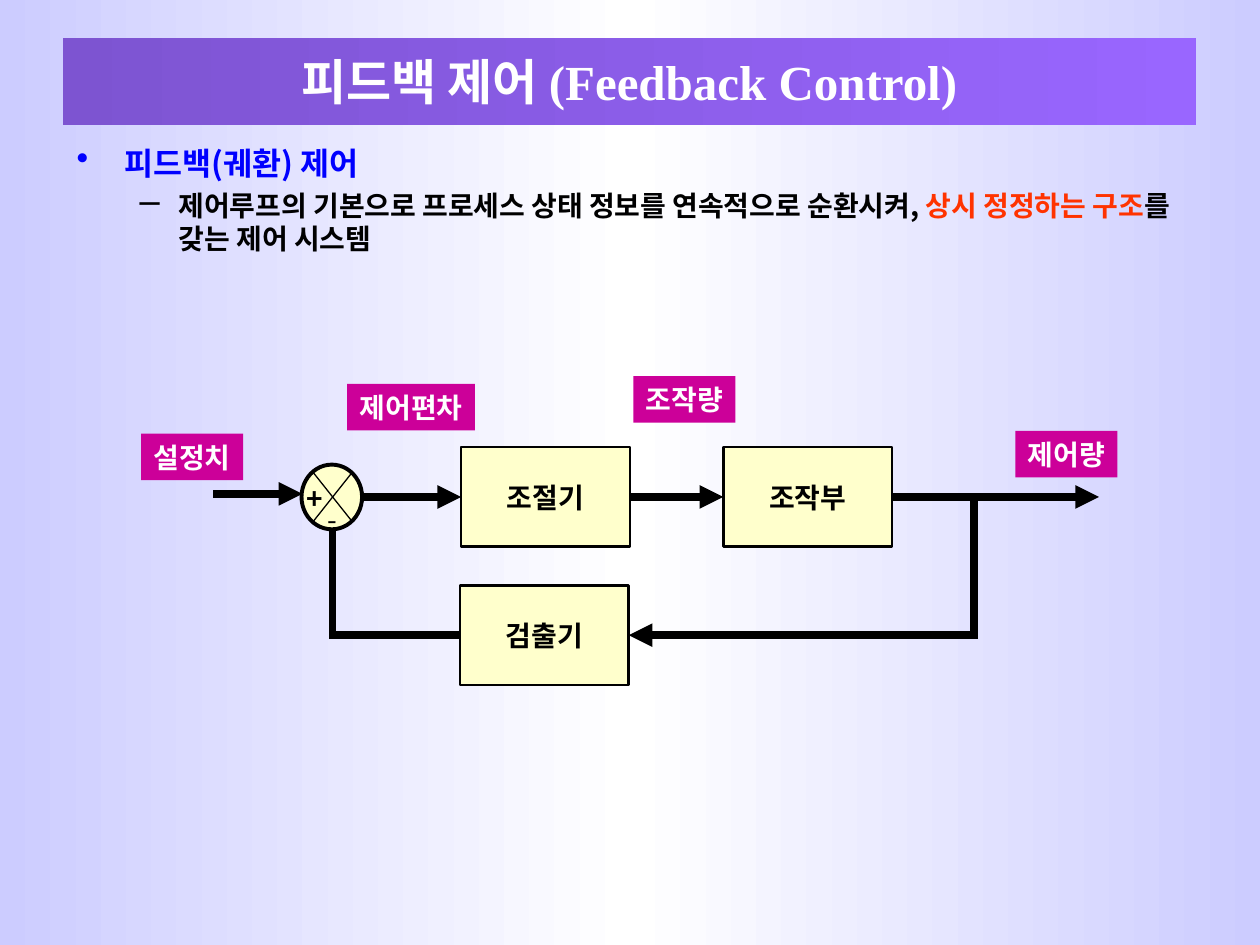
from dataclasses import dataclass
import copy

import lxml.etree
import pptx
import pptx.dml.color
import pptx.enum.shapes
import pptx.enum.text
import pptx.oxml.ns
import pptx.util

Pt = pptx.util.Pt
qn = pptx.oxml.ns.qn
SHAPES = pptx.enum.shapes.MSO_SHAPE
ANCHOR = pptx.enum.text.MSO_ANCHOR
ALIGN = pptx.enum.text.PP_ALIGN


@dataclass(frozen=True)
class Theme:
    """Colours, fonts and type sizes of the slide."""
    ink: str = "000000"
    white: str = "FFFFFF"
    edge: str = "CCCCFF"
    banner_start: str = "7D54D1"
    banner_end: str = "9966FF"
    heading: str = "0000FF"
    accent: str = "FF3300"
    block: str = "FFFFCC"
    label: str = "CC0099"
    korean: str = "Noto Sans CJK KR"
    latin: str = "Times New Roman"
    title_size: int = 28
    heading_size: int = 18
    text_size: int = 16


THEME = Theme()


def rgb(value):
    """Turn a hex string into a colour."""
    return pptx.dml.color.RGBColor.from_string(value)


def points(*values):
    """Turn numbers into lengths in points."""
    return [Pt(value) for value in values]


def apply(target, values):
    """Set attributes from a dict of format values."""
    for name, value in values.items():
        setattr(target, name, value)


def add_child(parent, tag, **attributes):
    """Append a DrawingML element."""
    return lxml.etree.SubElement(parent, qn(tag), attributes)


def fill_gradient(fill, colors):
    """Fill left to right with two colours."""
    fill.gradient()
    fill.gradient_angle = 0
    for stop, position, color in zip(fill.gradient_stops, (0, 1), colors):
        stop.color.rgb = rgb(color)
        stop.position = position


def paint_background(slide):
    """Paint the mirrored three-stop background."""
    fill = slide.background.fill
    fill_gradient(fill, (THEME.edge, THEME.white))
    stops = slide._element.find(".//" + qn("a:gsLst"))
    stops.append(copy.deepcopy(stops[0]))
    for stop, position in zip(fill.gradient_stops, (0, 0.5, 1)):
        stop.position = position


def add_run(paragraph, text, color, size=THEME.text_size, latin=THEME.korean, bold=True):
    """Add a run with Latin and Korean fonts."""
    run = paragraph.add_run()
    run.text = text
    apply(run.font, {"size": Pt(size), "name": latin, "bold": bold})
    run.font.color.rgb = rgb(color)
    add_child(run._r.get_or_add_rPr(), "a:ea", typeface=THEME.korean)


def write_centred(shape, text, color, wrap=False, **style):
    """Write one centred line in a shape."""
    frame = shape.text_frame
    apply(frame, {"word_wrap": wrap, "vertical_anchor": ANCHOR.MIDDLE})
    paragraph = frame.paragraphs[0]
    paragraph.alignment = ALIGN.CENTER
    add_run(paragraph, text, color, **style)


def add_panel(slide, place, color, kind=SHAPES.RECTANGLE, line_width=0):
    """Add a filled shape with an optional outline."""
    shape = slide.shapes.add_shape(kind, *points(*place))
    shape.shadow.inherit = False
    shape.fill.solid()
    shape.fill.fore_color.rgb = rgb(color)
    if line_width:
        shape.line.color.rgb = rgb(THEME.ink)
        shape.line.width = Pt(line_width)
    else:
        shape.line.fill.background()
    return shape


def add_banner(slide, text):
    """Add the gradient title bar."""
    banner = add_panel(slide, (36, 21.6, 647.3, 49.7), THEME.banner_start)
    fill_gradient(banner.fill, (THEME.banner_start, THEME.banner_end))
    write_centred(banner, text, THEME.white, wrap=True,
                  size=THEME.title_size, latin=THEME.latin)


def add_block(slide, text, left, top):
    """Add a block of the control loop."""
    block = add_panel(slide, (left, top, 96.5, 57), THEME.block, line_width=1.5)
    write_centred(block, text, THEME.ink)
    return block


def add_label(slide, text, left, top, width=58.3):
    """Add a signal name tag."""
    label = add_panel(slide, (left, top, width, 26.6), THEME.label)
    write_centred(label, text, THEME.white)


def add_sign(slide, text, left, top, width, bold):
    """Add a sign inside the comparator."""
    box = slide.shapes.add_textbox(*points(left, top, width, 26.6))
    write_centred(box, text, THEME.ink, bold=bold)


def add_line(slide, start, end, width=4.5, arrow=False, source=None, target=None):
    """Add a straight line, joined to (shape, side) pairs where given."""
    line = slide.shapes.add_connector(
        pptx.enum.shapes.MSO_CONNECTOR.STRAIGHT, *points(*start, *end))
    if source:
        line.begin_connect(*source)
    if target:
        line.end_connect(*target)
    line.line.width = Pt(width)
    line.line.color.rgb = rgb(THEME.ink)
    if arrow:
        add_child(line.line._get_or_add_ln(), "a:tailEnd", type="triangle")
    add_child(line._element.spPr, "a:effectLst")


def add_bullet(paragraph, runs, mark, color, scale, margin, hang, before, size):
    """Fill a bulleted paragraph with coloured runs."""
    paragraph.space_before = Pt(before)
    properties = paragraph._p.get_or_add_pPr()
    properties.set("marL", str(Pt(margin)))
    properties.set("indent", str(-Pt(hang)))
    add_child(add_child(properties, "a:buClr"), "a:srgbClr", val=color)
    add_child(properties, "a:buSzPct", val=str(scale * 1000))
    add_child(properties, "a:buChar", char=mark)
    for text, run_color in runs:
        add_run(paragraph, text, run_color, size=size)


def add_definition(slide):
    """Add the heading and its explanation."""
    frame = slide.shapes.add_textbox(*points(36.7, 78.5, 646.6, 103)).text_frame
    frame.word_wrap = True
    add_bullet(frame.paragraphs[0], [("피드백(궤환) 제어", THEME.heading)],
               "•", THEME.heading, 110, 27.4, 27.4, 4.5, THEME.heading_size)
    explanation = [
        ("제어루프의 기본으로 프로세스 상태 정보를 연속적으로 순환시켜, ", THEME.ink),
        ("상시 정정하는 구조", THEME.accent),
        ("를 갖는 제어 시스템", THEME.ink),
    ]
    paragraph = frame.add_paragraph()
    paragraph.level = 1
    add_bullet(paragraph, explanation, "–", THEME.ink, 130, 58.3, 22.3, 4, THEME.text_size)


def add_control_loop(slide):
    """Draw the feedback loop with its signals."""
    forward, feedback, tap, comparator = 284, 363, 556.5, 190
    controller = add_block(slide, "조절기", 263.5, forward - 28.5)
    actuator = add_block(slide, "조작부", 413.3, forward - 28.5)
    detector = add_block(slide, "검출기", 262.8, feedback - 28.5)
    add_panel(slide, (172.3, 265.5, 34.6, 37), THEME.block, SHAPES.OVAL, 2.25)
    for top, bottom in ((269.5, 298.5), (298.5, 269.5)):
        add_line(slide, (178.6, top), (201.6, bottom), width=0.75)

    add_line(slide, (122, 282.2), (172.8, 282.2), arrow=True)
    add_line(slide, (207, forward), (263.5, forward), arrow=True, target=(controller, 1))
    add_line(slide, (360, forward), (413.3, forward), arrow=True,
             source=(controller, 3), target=(actuator, 1))
    add_line(slide, (509.8, forward), (628, forward), arrow=True, source=(actuator, 3))
    add_line(slide, (tap, forward), (tap, feedback + 2.25))
    add_line(slide, (tap, feedback), (359.3, feedback), arrow=True, target=(detector, 3))
    add_line(slide, (262.8, feedback), (comparator, feedback), source=(detector, 1))
    add_line(slide, (comparator, feedback + 2.25), (comparator, 302))

    add_label(slide, "설정치", 80.6, 247.8)
    add_label(slide, "제어량", 580.2, 246.3)
    add_label(slide, "조작량", 361.9, 215)
    add_label(slide, "제어편차", 198.4, 219.4, 73)
    add_sign(slide, "+", 168, 271.4, 23, True)
    add_sign(slide, "-", 180, 283.2, 19.4, False)


def main():
    """Build and save the slide."""
    presentation = pptx.Presentation()
    apply(presentation, {"slide_width": Pt(720), "slide_height": Pt(540)})
    slide = presentation.slides.add_slide(presentation.slide_layouts[6])
    paint_background(slide)
    add_definition(slide)
    add_banner(slide, "피드백 제어 (Feedback Control)")
    add_control_loop(slide)
    presentation.save("out.pptx")


if __name__ == "__main__":
    main()
